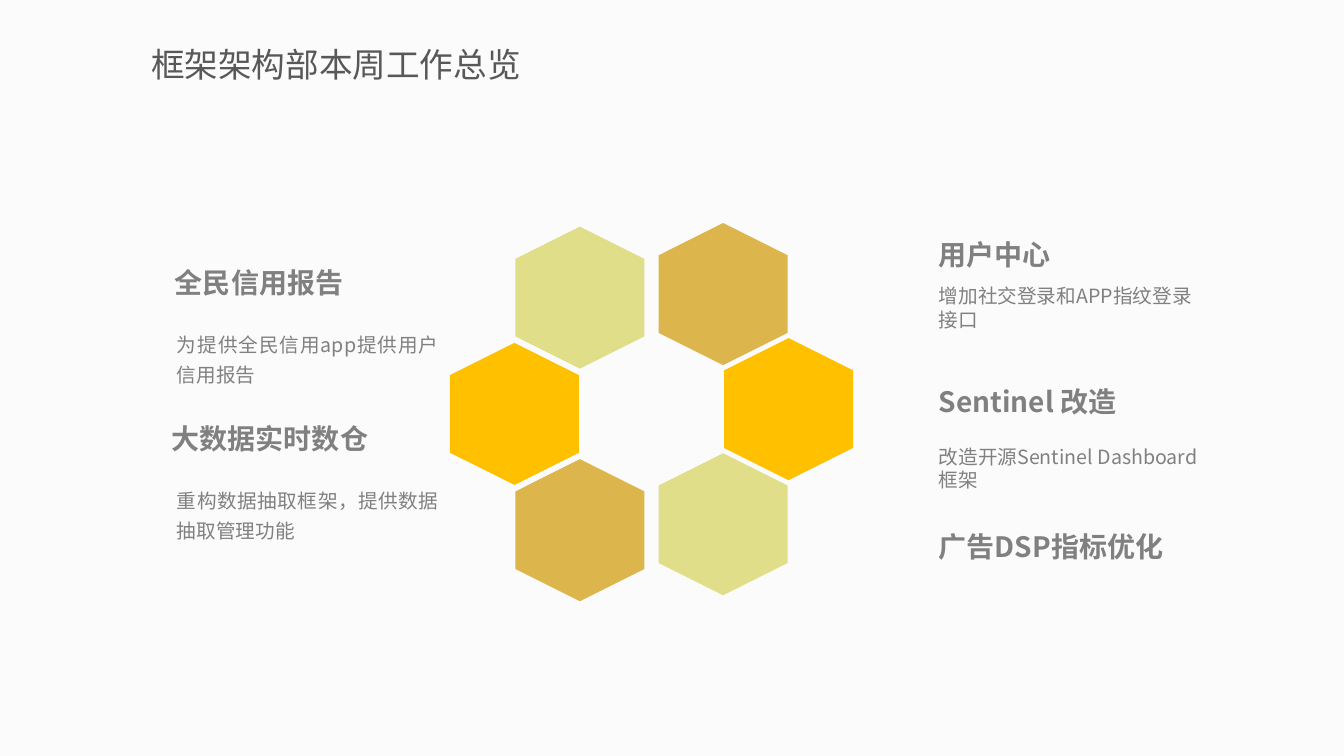
from dataclasses import dataclass

import pptx
import pptx.dml.color
import pptx.enum.shapes
import pptx.enum.text
import pptx.oxml
import pptx.oxml.ns
import pptx.util

Cm = pptx.util.Cm
Pt = pptx.util.Pt


@dataclass(frozen=True)
class Theme:
    font: str = "Noto Sans CJK SC"
    background: str = "FBFBFB"
    title: str = "595757"
    text: str = "808080"
    lime: str = "E0DE88"
    amber: str = "FFC000"
    ochre: str = "DDB54D"
    title_size: int = 24
    heading_size: int = 20
    body_size: int = 14
    line_height: float = 21.3


THEME = Theme()
JUSTIFY = pptx.enum.text.PP_ALIGN.JUSTIFY
WIDE_MARGINS = (0.5, 0.25)
TITLE_MARGINS = (0.25, 0.13)


def rgb(value):
    return pptx.dml.color.RGBColor.from_string(value)


def add_text(page, box, text, size, color, bold=False, fixed_lines=True,
             margins=WIDE_MARGINS):
    """Place one paragraph in a box given as left, top, width, height in cm."""
    frame = page.shapes.add_textbox(*map(Cm, box)).text_frame
    side, edge = map(Cm, margins)
    frame_format = {
        "word_wrap": True,
        "auto_size": pptx.enum.text.MSO_AUTO_SIZE.SHAPE_TO_FIT_TEXT,
        "margin_left": side, "margin_right": side,
        "margin_top": edge, "margin_bottom": edge,
    }
    for name, value in frame_format.items():
        setattr(frame, name, value)

    para = frame.paragraphs[0]
    if fixed_lines:
        para.alignment = JUSTIFY
        para.line_spacing = Pt(THEME.line_height)
    span = para.add_run()
    span.text = text
    for name, value in {"name": THEME.font, "size": Pt(size), "bold": bold}.items():
        setattr(span.font, name, value)
    span.font.color.rgb = rgb(color)
    # East Asian typeface
    east_asian = pptx.oxml.parse_xml(
        f'<a:ea {pptx.oxml.ns.nsdecls("a")} typeface="{THEME.font}"/>')
    span.font._element.append(east_asian)


def add_title(page, box, text):
    add_text(page, box, text, THEME.title_size, THEME.title,
             fixed_lines=False, margins=TITLE_MARGINS)


def add_topics(page, box, topics, body_fixed):
    """Topics: heading shift, heading top, heading, body top, body."""
    left, top, heading_width, body_width = box
    for shift, heading_top, heading, body_top, body in topics:
        add_text(page, (left + shift, top + heading_top, heading_width, 1.19),
                 heading, THEME.heading_size, THEME.text, bold=True)
        if body:
            add_text(page, (left, top + body_top, body_width, 1.65),
                     body, THEME.body_size, THEME.text, fixed_lines=body_fixed)


def add_hexagon_ring(page, box):
    """Two arcs of three hexagons, bulging left and right."""
    left, top, width = box
    length, breadth, bulge = 3.58, 3.25, 1.65
    first, last = left + breadth / 2, left + width - breadth / 2
    # Outer centre, direction inwards, first centre, pitch, colours
    arcs = (
        (first, 1, top + 1.88, 2.93, (THEME.lime, THEME.amber, THEME.ochre)),
        (last, -1, top + 1.79, 2.9, (THEME.ochre, THEME.amber, THEME.lime)),
    )
    group = page.shapes.add_group_shape()
    for outer, inwards, start, pitch, colors in arcs:
        for row, color in enumerate(colors):
            center_x = outer + inwards * bulge * (row != 1)
            center_y = start + row * pitch
            hexagon = group.shapes.add_shape(
                pptx.enum.shapes.MSO_SHAPE.HEXAGON,
                Cm(center_x - length / 2), Cm(center_y - breadth / 2),
                Cm(length), Cm(breadth))
            hexagon.rotation = 270
            hexagon.shadow.inherit = False
            hexagon.fill.solid()
            hexagon.fill.fore_color.rgb = rgb(color)
            hexagon.line.fill.background()


def build_overview(deck):
    page = deck.slides.add_slide(deck.slide_layouts[6])
    page.background.fill.solid()
    page.background.fill.fore_color.rgb = rgb(THEME.background)

    add_title(page, (3.56, 0.97, 27.2, 1.27), "框架架构部本周工作总览")
    add_hexagon_ring(page, (11.34, 5.62, 10.16))

    # Left column
    add_topics(page, (3.96, 6.53, 6.25, 7.59), (
        (-0.05, 0, "全民信用报告", 1.45, "为提供全民信用app提供用户信用报告"),
        (-0.13, 3.93, "大数据实时数仓", 5.38, "重构数据抽取框架，提供数据抽取管理功能"),
    ), body_fixed=True)

    # Right column
    add_topics(page, (23.16, 5.82, 8.1, 7.59), (
        (0, 0, "用户中心", 1.09, "增加社交登录和APP指纹登录接口"),
        (0, 3.71, "Sentinel 改造", 5.13, "改造开源Sentinel Dashboard框架"),
        (0, 7.36, "广告DSP指标优化", 0, None),
    ), body_fixed=False)


def main():
    deck = pptx.Presentation()
    deck.slide_width, deck.slide_height = Cm(33.87), Cm(19.05)
    build_overview(deck)
    deck.save("out.pptx")


if __name__ == "__main__":
    main()
